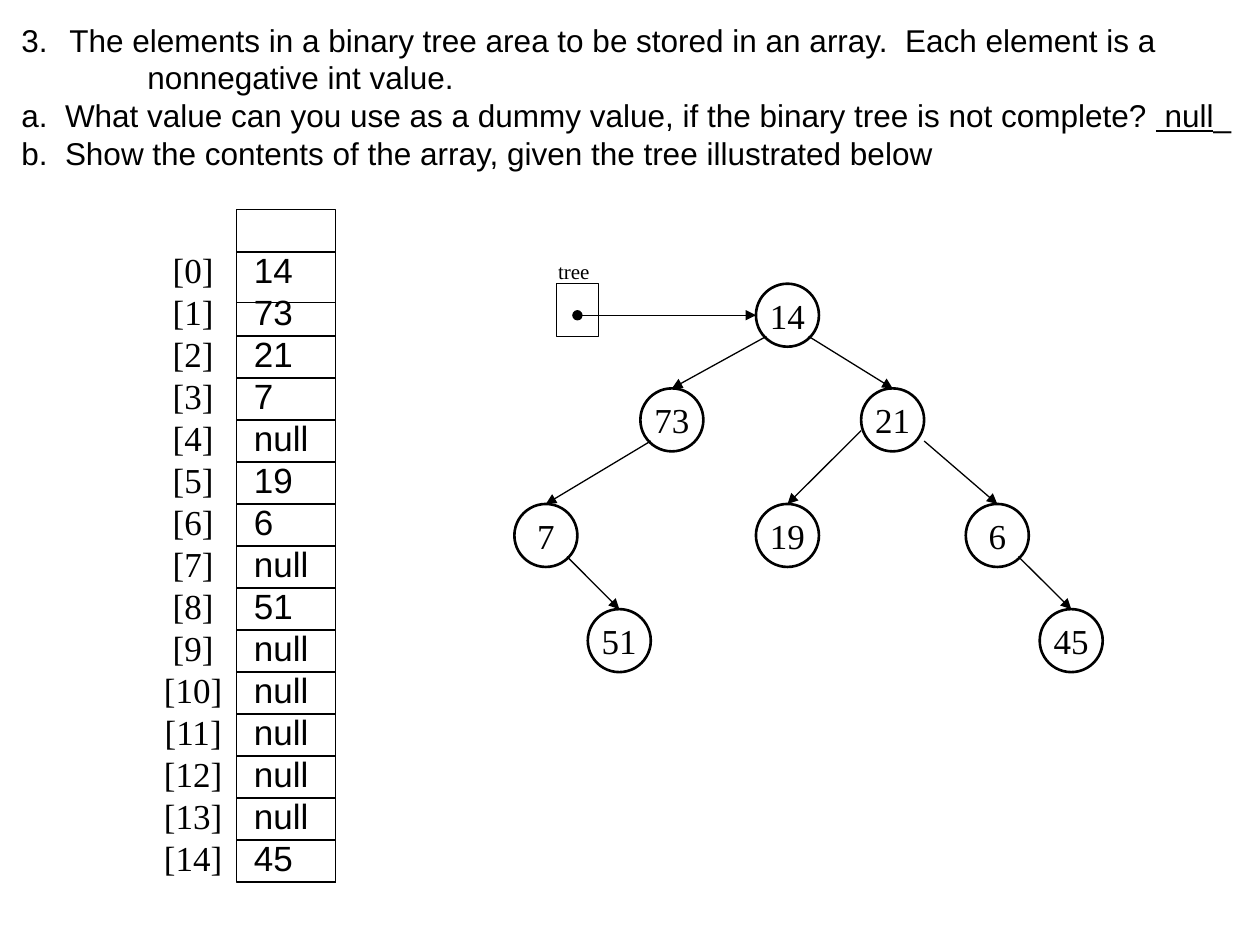
from lxml.etree import SubElement
from pptx import Presentation
from pptx.dml.color import RGBColor
from pptx.enum.shapes import MSO_CONNECTOR as Link, MSO_SHAPE as Preset
from pptx.enum.text import MSO_ANCHOR as Anchor, MSO_AUTO_SIZE as Fit, PP_ALIGN as Align
from pptx.oxml.ns import qn
from pptx.util import Cm, Pt

BLACK = "000000"
SANS, SERIF = "Arial", "Times New Roman"
QUESTION = [
    (0.97, 3, [("The elements in a binary tree area to be stored in an array.  "
                "Each element is a ", False)]),
    (3.51, None, [("nonnegative int value.", False)]),
    (0.97, None, [("a.  What value can you use as a dummy value, if the binary tree "
                   "is not complete? ", False), (" null", True), ("_", False)]),
    (0.97, None, [("b.  Show the contents of the array, given the tree illustrated below",
                   False)]),
]
HANGING = 0.97
VALUES = ["14", "73", "21", "7", "null", "19", "6", "null", "51",
          "null", "null", "null", "null", "null", "45"]
NODES = {"14": (15.24, 5.72), "73": (12.91, 7.83), "21": (17.36, 7.83),
         "7": (10.37, 10.16), "51": (11.85, 12.28), "19": (15.24, 10.16),
         "6": (19.47, 10.16), "45": (20.96, 12.28)}
NODE_SIZE = 1.27
EDGES = [("14", "73", 0.21, 1.06), ("14", "21", 1.06, 1.06), ("73", "7", 0.21, 1.06),
         ("21", "19", 0, 0.85), ("21", "6", 1.27, 1.06), ("7", "51", 1.06, 1.06),
         ("6", "45", 1.06, 1.06)]
ARRAY_LEFT, ARRAY_RIGHT, ARRAY_TOP = 4.77, 6.77, 4.23
GRID_TOP, GRID_BOTTOM = 5.08, 17.78
UNEVEN_RULES = {1: 6.1}


def colour(value):
    """Turn a hex string into a colour."""
    return RGBColor.from_string(value)


def apply(target, formats):
    """Set every attribute named in a dict."""
    for name, value in formats.items():
        setattr(target, name, value)


def write(box, lines, font, size, pitch=None, align=Align.LEFT, **frame):
    """Write lines, each a list of text and underline pairs."""
    apply(box.text_frame, {"word_wrap": False, **frame})
    for number, spans in enumerate(lines):
        para = box.text_frame.paragraphs[0] if number == 0 else box.text_frame.add_paragraph()
        apply(para, {"alignment": align, "line_spacing": pitch and Pt(pitch)})
        for text, underline in spans:
            span = para.add_run()
            span.text = text
            apply(span.font, {"name": font, "size": Pt(size), "underline": underline})
            span.font.color.rgb = colour(BLACK)


def add_text(shapes, place, lines, font, size, **formats):
    """Add a text box that grows with its text."""
    box = shapes.add_textbox(*map(Cm, place))
    write(box, lines, font, size, auto_size=Fit.SHAPE_TO_FIT_TEXT, **formats)
    return box


def add_outline(shapes, preset, place, width=0.75):
    """Add an unfilled shape with a black outline."""
    shape = shapes.add_shape(preset, *map(Cm, place))
    shape.shadow.inherit = False
    shape.fill.background()
    shape.line.color.rgb = colour(BLACK)
    shape.line.width = Pt(width)
    return shape


def add_line(shapes, start, end, **tips):
    """Add a thin black line with optional headEnd and tailEnd tips."""
    line = shapes.add_connector(Link.STRAIGHT, *map(Cm, (*start, *end)))
    line.line.color.rgb = colour(BLACK)
    line.line.width = Pt(0.75)
    for tag, kind in tips.items():
        SubElement(line.line._get_or_add_ln(), qn("a:" + tag), type=kind)
    SubElement(line._element.spPr, qn("a:effectLst"))


def add_question(shapes):
    """Add the question with its hanging indents."""
    box = add_text(shapes, (0.18, 0.3, 25.12, 3.33), [spans for _, _, spans in QUESTION],
                   SANS, 18, pitch=21.5)
    for para, (margin, start, _) in zip(box.text_frame.paragraphs, QUESTION):
        props = para._p.get_or_add_pPr()
        props.set("marL", str(Cm(margin)))
        props.set("indent", str(-Cm(HANGING)))
        if start:
            SubElement(props, qn("a:buAutoNum"), type="arabicPeriod", startAt=str(start))


def add_tree(shapes):
    """Add the nodes, the edges and the pointer to the root."""
    for value, place in NODES.items():
        node = add_outline(shapes, Preset.OVAL, (*place, NODE_SIZE, NODE_SIZE), 1.5)
        write(node, [[(value, False)]], SERIF, 20, align=Align.CENTER,
              vertical_anchor=Anchor.MIDDLE)
    for parent, child, across, down in EDGES:
        left, top = NODES[parent]
        child_left, child_top = NODES[child]
        add_line(shapes, (left + across, top + down),
                 (child_left + NODE_SIZE / 2, child_top), tailEnd="triangle")
    add_outline(shapes, Preset.RECTANGLE, (11.22, 5.72, 0.85, 1.06))
    root_left, root_top = NODES["14"]
    middle = root_top + NODE_SIZE / 2
    add_line(shapes, (11.64, middle), (root_left, middle), headEnd="oval", tailEnd="triangle")
    add_text(shapes, (11, 5.08, 1.14, 0.76), [[("tree", False)]], SERIF, 12)


def add_array(shapes):
    """Add the array frame, its rules, indices and values."""
    width = ARRAY_RIGHT - ARRAY_LEFT
    add_outline(shapes, Preset.RECTANGLE,
                (ARRAY_LEFT, ARRAY_TOP, width, GRID_BOTTOM - ARRAY_TOP))
    indices = [[(f"[{index}]", False)] for index in range(len(VALUES))]
    add_text(shapes, (2.74, 4.88, 2.31, 13.08), indices, SERIF, 20, pitch=24,
             align=Align.CENTER)
    step = (GRID_BOTTOM - GRID_TOP) / len(VALUES)
    for row in range(len(VALUES) + 1):
        height = UNEVEN_RULES.get(row, GRID_TOP + row * step)
        add_line(shapes, (ARRAY_LEFT, height), (ARRAY_RIGHT, height))
    add_text(shapes, (4.87, 4.88, 1.91, 13.08), [[(value, False)] for value in VALUES],
             SANS, 20, pitch=24, word_wrap=True)


deck = Presentation()
apply(deck, {"slide_width": Cm(25.4), "slide_height": Cm(19.05)})
page = deck.slides.add_slide(deck.slide_layouts[6])
add_question(page.shapes)
add_tree(page.shapes)
add_array(page.shapes.add_group_shape().shapes)
deck.save("out.pptx")
